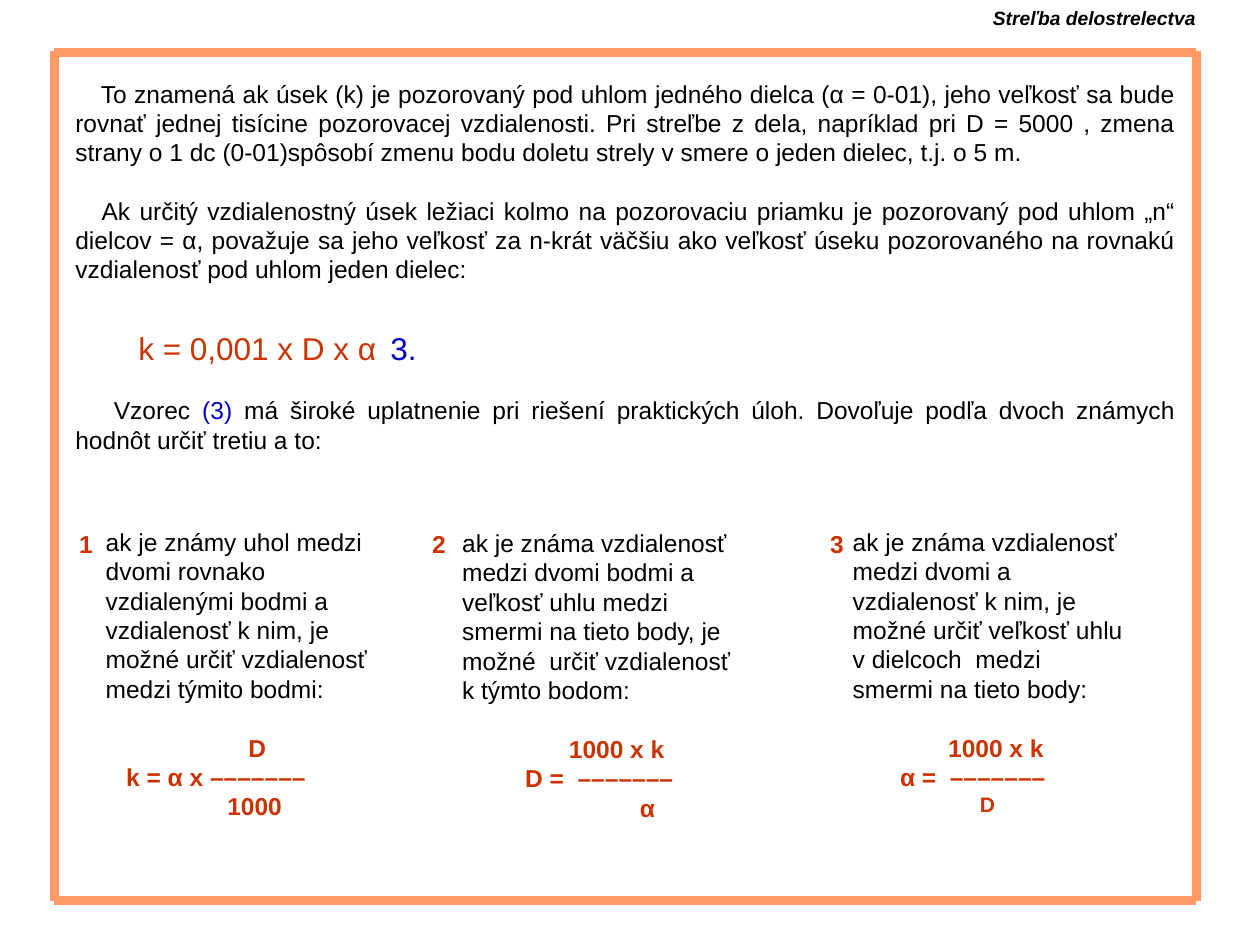
import pptx
import pptx.util
import pptx.dml.color
import pptx.enum.shapes
import pptx.enum.text
import pptx.oxml.ns
import lxml.etree

Pt = pptx.util.Pt
ALIGN = pptx.enum.text.PP_ALIGN
COLORS = {"text": "000000", "formula": "CC3300", "number": "0000CC", "frame": "FF9966"}
FONT = "Arial"

HEADER = "Streľba delostrelectva"
EXPLANATION = [
    {"text": "To znamená ak úsek (k) je pozorovaný pod uhlom jedného dielca (α = 0-01), jeho veľkosť sa bude "
             "rovnať jednej tisícine pozorovacej vzdialenosti. Pri streľbe z dela, napríklad pri D = 5000 , "
             "zmena strany o 1 dc (0-01)spôsobí zmenu bodu doletu strely v smere o jeden dielec, t.j. o 5 m.",
     "first": 14.5, "align": ALIGN.JUSTIFY},
    {"text": "Ak určitý vzdialenostný úsek ležiaci kolmo na pozorovaciu priamku je pozorovaný pod uhlom „n“ "
             "dielcov = α, považuje sa jeho veľkosť za n-krát väčšiu ako veľkosť úseku pozorovaného na rovnakú "
             "vzdialenosť pod uhlom jeden dielec:",
     "first": 15, "before": 16.5, "align": ALIGN.JUSTIFY},
    {"text": [("\tk = 0,001 x D x α", "formula"), ("\t3.", "number")],
     "size": 18, "before": 25.5, "tabs": [241, 587]},
    {"text": [("Vzorec ", "text"), ("(3) ", "number"),
              ("má široké uplatnenie pri riešení praktických úloh. Dovoľuje podľa dvoch známych "
               "hodnôt určiť tretiu a to:", "text")],
     "first": 22, "before": 16.5, "align": ALIGN.JUSTIFY},
]
CASES = [
    {"number": "1", "number_left": 38.2, "left": 53.3, "top": 297.4,
     "text": "ak je známy uhol medzi dvomi rovnako vzdialenými bodmi a vzdialenosť k nim, "
             "je možné určiť vzdialenosť medzi týmito bodmi:",
     "formula": [("D", 81.5, 14), ("k = α x –––––––", 11.7, 14), ("1000", 69.5, 14)]},
    {"number": "2", "number_left": 239.8, "left": 257, "top": 298.1,
     "text": "ak je známa vzdialenosť medzi dvomi bodmi a veľkosť uhlu medzi smermi na tieto body, "
             "je možné  určiť vzdialenosť k týmto bodom:",
     "formula": [("1000 x k", 61, 14), ("D =  –––––––", 36, 14), ("α", 101.5, 14)]},
    {"number": "3", "number_left": 467.3, "left": 480.2, "top": 297.4,
     "text": "ak je známa vzdialenosť medzi dvomi a vzdialenosť k nim, je možné určiť veľkosť uhlu "
             "v dielcoch  medzi smermi na tieto body:",
     "formula": [("1000 x k", 54.5, 14), ("α =  –––––––", 27, 14), ("D", 72.6, 12)]},
]
FRAME_LEFT, FRAME_TOP, FRAME_RIGHT, FRAME_BOTTOM = 31, 30, 683.5, 514.8
FRAME_WIDTH = 5.25


def color_of(name):
    return pptx.dml.color.RGBColor.from_string(COLORS[name])


def add_box(page, left, top, width, height, top_inset=3.6):
    box = page.shapes.add_textbox(Pt(left), Pt(top), Pt(width), Pt(height))
    box.text_frame.word_wrap = True
    box.text_frame.margin_top = Pt(top_inset)
    return box.text_frame


def write(frame, text, size=14, color="text", bold=False, italic=False, align=ALIGN.LEFT,
          before=0, left=0, first=0, tabs=()):
    para = frame.paragraphs[0]
    if para.runs:
        para = frame.add_paragraph()
    properties = para._p.get_or_add_pPr()
    properties.set("marL", str(int(Pt(left))))
    properties.set("indent", str(int(Pt(first))))
    if tabs:
        tab_list = lxml.etree.SubElement(properties, pptx.oxml.ns.qn("a:tabLst"))
        for position in tabs:
            lxml.etree.SubElement(tab_list, pptx.oxml.ns.qn("a:tab"), pos=str(int(Pt(position))), algn="l")
    para.alignment = align
    if before:
        para.space_before = Pt(before)
    for words, shade in [(text, color)] if isinstance(text, str) else text:
        span = para.add_run()
        span.text = words
        span.font.name = FONT
        span.font.size = Pt(size)
        span.font.bold = bold
        span.font.italic = italic
        span.font.color.rgb = color_of(shade)


def add_frame_line(page, start_x, start_y, end_x, end_y):
    line = page.shapes.add_connector(pptx.enum.shapes.MSO_CONNECTOR.STRAIGHT,
                                     Pt(start_x), Pt(start_y), Pt(end_x), Pt(end_y))
    line.line.color.rgb = color_of("frame")
    line.line.width = Pt(FRAME_WIDTH)
    lxml.etree.SubElement(line._element.spPr, pptx.oxml.ns.qn("a:effectLst"))


def main():
    deck = pptx.Presentation()
    deck.slide_width, deck.slide_height = Pt(720), Pt(540)
    page = deck.slides.add_slide(deck.slide_layouts[6])

    body = add_box(page, 36, 38.9, 643, 484.5, top_inset=6)
    for paragraph in EXPLANATION:
        write(body, **paragraph)

    for x in (FRAME_LEFT, FRAME_RIGHT):
        add_frame_line(page, x, FRAME_TOP - 1, x, FRAME_BOTTOM)
    for y in (FRAME_TOP, FRAME_BOTTOM):
        add_frame_line(page, FRAME_LEFT, y, FRAME_RIGHT, y)

    for case in CASES:
        column = add_box(page, case["left"], case["top"], 171, 201)
        write(column, case["text"])
        for row, (text, indent, size) in enumerate(case["formula"]):
            write(column, text, size=size, color="formula", bold=True, left=indent,
                  before=0 if row else 16.8)
        number = add_box(page, case["number_left"], 298.8, 17.3, 24.5)
        write(number, case["number"], color="formula", bold=True)

    header = add_box(page, 532.8, 0, 157.7, 20.9)
    write(header, HEADER, size=11, bold=True, italic=True, align=ALIGN.RIGHT)

    deck.save("out.pptx")


if __name__ == "__main__":
    main()
